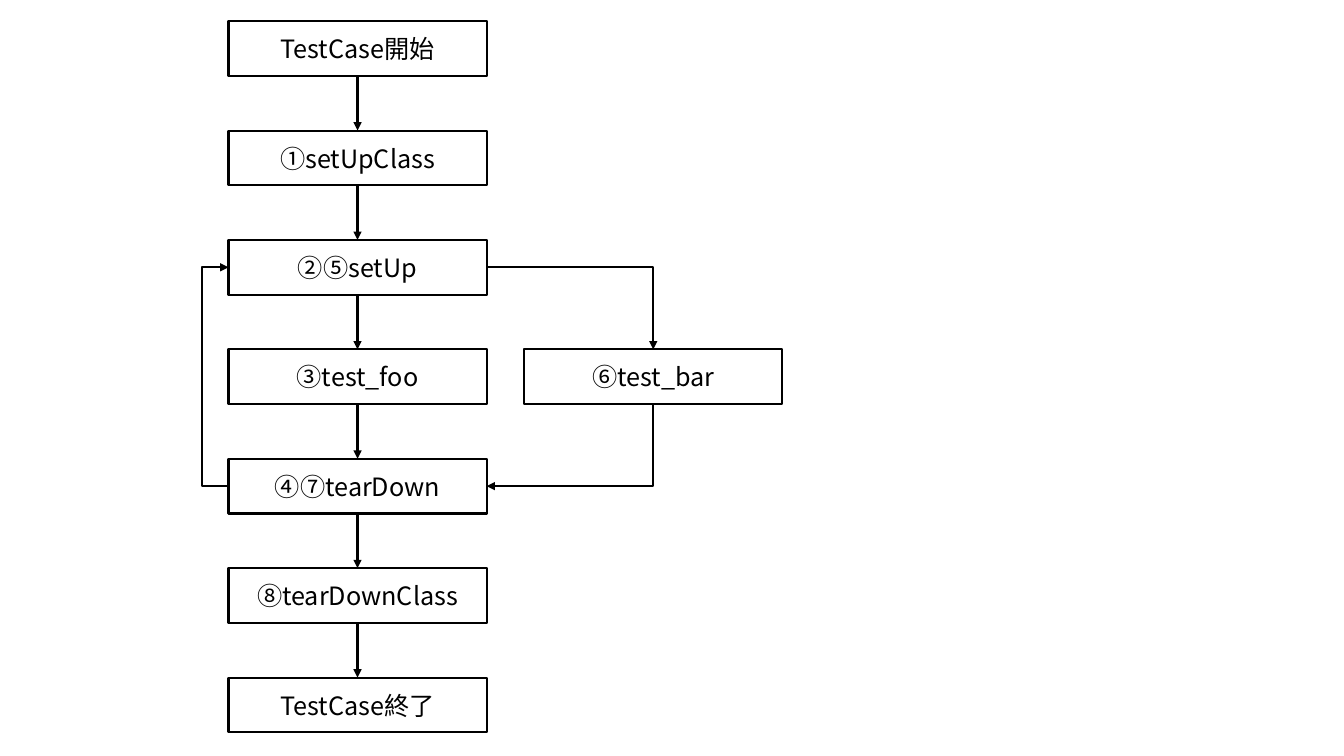
from lxml.etree import SubElement
from pptx import Presentation
from pptx.dml.color import RGBColor
from pptx.enum.shapes import MSO_CONNECTOR, MSO_SHAPE
from pptx.enum.text import MSO_ANCHOR, PP_ALIGN
from pptx.oxml.ns import qn
from pptx.util import Pt

COLORS = {"ink": "000000", "paper": "FFFFFF"}
FONT = "Noto Sans CJK JP"
LINE_WIDTH = Pt(1.5)
BOX_WIDTH, BOX_HEIGHT = Pt(184.4), Pt(39.1)
MAIN_LEFT, BRANCH_LEFT = Pt(163.2), Pt(374.4)
FIRST_TOP, ROW_PITCH = Pt(15.1), Pt(78.15)
LOOP_REACH, LOOP_BASE = Pt(18), Pt(0.08)
TOP, LEFT, BOTTOM, RIGHT = range(4)
MAIN_STEPS = [
    "TestCase開始",
    "①setUpClass",
    "②⑤setUp",
    "③test_foo",
    "④⑦tearDown",
    "⑧tearDownClass",
    "TestCase終了",
]
BRANCH_STEP, BRANCH_ROW = "⑥test_bar", 3


def color(name):
    return RGBColor.from_string(COLORS[name])


def write_text(shape, text, size=18, font=FONT, ink="ink", align=PP_ALIGN.CENTER):
    frame = shape.text_frame
    frame.word_wrap = True
    frame.vertical_anchor = MSO_ANCHOR.MIDDLE
    paragraph = frame.paragraphs[0]
    paragraph.alignment = align
    run = paragraph.add_run()
    run.text = text
    run.font.name = font
    run.font.size = Pt(size)
    run.font.color.rgb = color(ink)
    SubElement(run.font._element, qn("a:ea"), typeface=font)


def style_line(line):
    line.color.rgb = color("ink")
    line.width = LINE_WIDTH


def add_box(slide, text, left, row):
    top = FIRST_TOP + row * ROW_PITCH
    shape = slide.shapes.add_shape(MSO_SHAPE.RECTANGLE, left, top, BOX_WIDTH, BOX_HEIGHT)
    shape.shadow.inherit = False
    shape.fill.solid()
    shape.fill.fore_color.rgb = color("paper")
    style_line(shape.line)
    write_text(shape, text)
    return shape


def add_arrow(slide, source, source_side, target, target_side, kind=MSO_CONNECTOR.STRAIGHT):
    connector = slide.shapes.add_connector(kind, 0, 0, 0, 0)
    connector.begin_connect(source, source_side)
    connector.end_connect(target, target_side)
    style_line(connector.line)
    SubElement(connector.line._get_or_add_ln(), qn("a:tailEnd"), type="triangle")
    SubElement(connector._element.spPr, qn("a:effectLst"))
    return connector


def add_elbow(slide, source, source_side, target, target_side, rotation=0, reach=None):
    connector = add_arrow(slide, source, source_side, target, target_side, MSO_CONNECTOR.ELBOW)
    center_x = (connector.begin_x + connector.end_x) // 2
    center_y = (connector.begin_y + connector.end_y) // 2
    width, height = max(connector.width, LOOP_BASE), connector.height
    if rotation == 90:
        width, height = height, width
    transform = connector._element.spPr.xfrm
    transform.flipH = transform.flipV = False
    transform.rot = rotation
    connector.left, connector.top = center_x - width // 2, center_y - height // 2
    connector.width, connector.height = width, height
    geometry = connector._element.spPr.prstGeom
    if reach is None:
        geometry.set("prst", "bentConnector2")
    else:
        ratio = round(reach / width * 100000)
        SubElement(geometry.get_or_add_avLst(), qn("a:gd"), name="adj1", fmla=f"val {ratio}")


def main():
    presentation = Presentation()
    presentation.slide_width, presentation.slide_height = Pt(960), Pt(540)
    slide = presentation.slides.add_slide(presentation.slide_layouts[6])

    boxes = [add_box(slide, text, MAIN_LEFT, row) for row, text in enumerate(MAIN_STEPS)]
    test_bar = add_box(slide, BRANCH_STEP, BRANCH_LEFT, BRANCH_ROW)
    for source, target in zip(boxes, boxes[1:]):
        add_arrow(slide, source, BOTTOM, target, TOP)

    set_up, tear_down = boxes[BRANCH_ROW - 1], boxes[BRANCH_ROW + 1]
    add_elbow(slide, set_up, RIGHT, test_bar, TOP)
    add_elbow(slide, test_bar, BOTTOM, tear_down, RIGHT, rotation=90)
    add_elbow(slide, tear_down, LEFT, set_up, LEFT, rotation=180, reach=LOOP_REACH)

    presentation.save("out.pptx")


if __name__ == "__main__":
    main()
